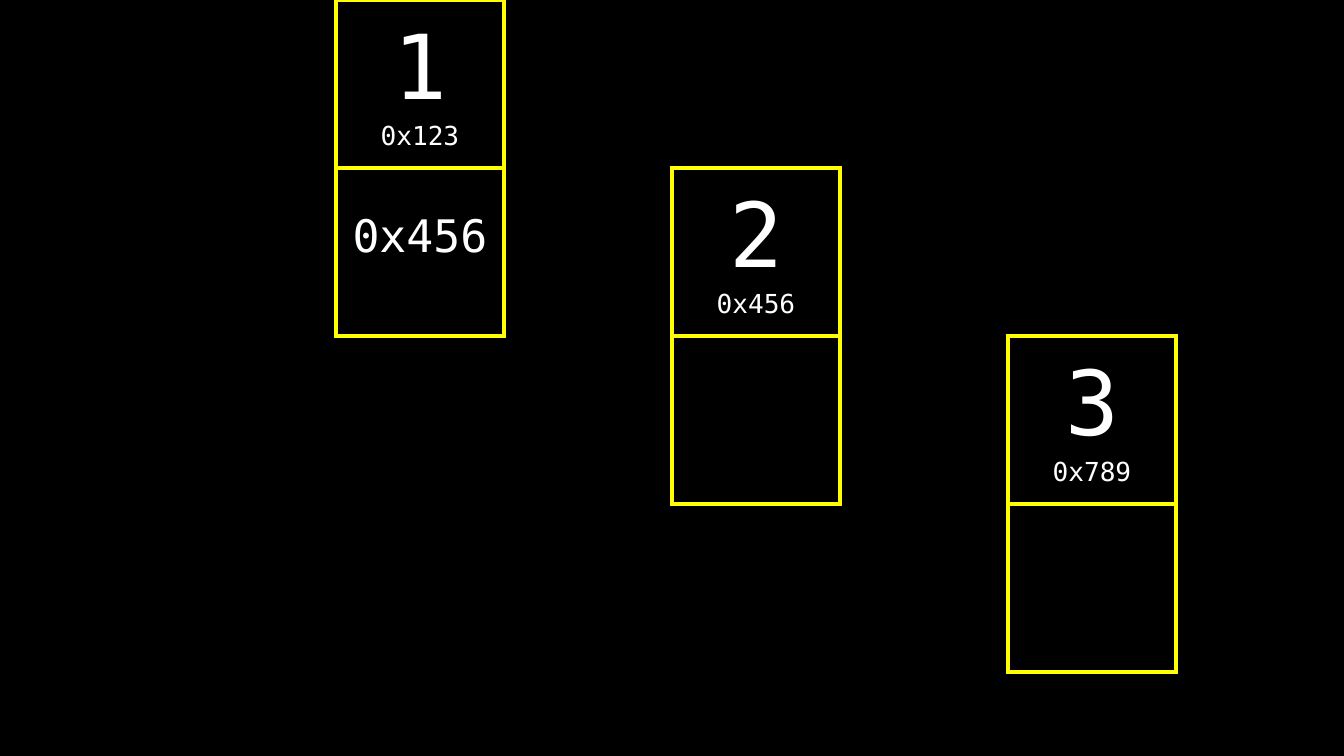
from dataclasses import dataclass

from lxml import etree
from pptx import Presentation
from pptx import util as u
from pptx.dml.color import RGBColor
from pptx.enum import text
from pptx.oxml import ns


@dataclass(frozen=True)
class Theme:
    """Colours, font and type sizes of the memory grid."""
    background: str = "000000"
    ink: str = "FFFFFF"
    border: str = "FFFF00"
    border_width: int = 3
    font: str = "DejaVu Sans Mono"
    value_size: int = 48
    pointer_size: int = 24
    address_size: int = 14


THEME = Theme()
CELL = 168
ROWS, COLUMNS = 5, 8
PADDING = 13
POINTER_BOTTOM = 73
NO_GRID_STYLE = "{2D5ABB26-0587-4C30-8999-92F81FD0307C}"
SIDES = {"lnL": (0, -1), "lnR": (0, 1), "lnT": (-1, 0), "lnB": (1, 0)}
NODES = [
    (0, 2, "1", "0x123", "0x456"),
    (1, 4, "2", "0x456", ""),
    (2, 6, "3", "0x789", ""),
]


def px(length):
    """Turn slide pixels into EMU."""
    return u.Emu(round(length * 914400 / 134.4))


def write(paragraph, content, *, size, color=THEME.ink):
    """Put one centred run of formatted text into a paragraph."""
    paragraph.alignment = text.PP_ALIGN.CENTER
    run = paragraph.add_run()
    run.text = content
    run.font.name = THEME.font
    run.font.size = u.Pt(size)
    run.font.color.rgb = RGBColor.from_string(color)


def set_border(cell, side, visible):
    """Give one side of a cell a solid border, or explicitly none."""
    properties = cell._tc.get_or_add_tcPr()
    line = etree.SubElement(properties, ns.qn(f"a:{side}"), w=str(u.Pt(THEME.border_width)))
    if visible:
        fill = etree.SubElement(line, ns.qn("a:solidFill"))
        etree.SubElement(fill, ns.qn("a:srgbClr"), val=THEME.border)
    else:
        etree.SubElement(line, ns.qn("a:noFill"))


def set_padding(cell, bottom=PADDING):
    """Set the inner margins of a cell."""
    cell.margin_left = cell.margin_right = cell.margin_top = px(PADDING)
    cell.margin_bottom = px(bottom)


def fill_node(table, row, column, value, address, pointer):
    """Write a list node: its value and address above its pointer."""
    data_cell = table.cell(row, column)
    set_padding(data_cell)
    data_cell.vertical_anchor = text.MSO_ANCHOR.MIDDLE
    write(data_cell.text_frame.paragraphs[0], value, size=THEME.value_size)
    write(data_cell.text_frame.add_paragraph(), address, size=THEME.address_size)
    if pointer:
        pointer_cell = table.cell(row + 1, column)
        set_padding(pointer_cell, POINTER_BOTTOM)
        pointer_cell.vertical_anchor = text.MSO_ANCHOR.BOTTOM
        write(pointer_cell.text_frame.paragraphs[0], pointer, size=THEME.pointer_size)


def add_memory_grid(slide, left, top, width, height):
    """Place the memory grid and its linked nodes in the given box."""
    frame = slide.shapes.add_table(ROWS, COLUMNS, px(left), px(top), px(width), px(height))
    table = frame.table
    table.first_row = table.horz_banding = False
    table._tbl.tblPr.find(ns.qn("a:tableStyleId")).text = NO_GRID_STYLE
    for column in table.columns:
        column.width = px(width / COLUMNS)
    for row in table.rows:
        row.height = px(height / ROWS)

    used = {(row + step, column) for row, column, *_ in NODES for step in (0, 1)}
    for row in range(ROWS):
        for column in range(COLUMNS):
            cell = table.cell(row, column)
            for side, (down, right) in SIDES.items():
                neighbours = {(row, column), (row + down, column + right)}
                set_border(cell, side, visible=bool(used & neighbours))
            cell.fill.background()
    for node in NODES:
        fill_node(table, *node)


def main():
    """Build and save the presentation."""
    presentation = Presentation()
    presentation.slide_width, presentation.slide_height = px(1344), px(756)
    slide = presentation.slides.add_slide(presentation.slide_layouts[6])
    slide.background.fill.solid()
    slide.background.fill.fore_color.rgb = RGBColor.from_string(THEME.background)
    add_memory_grid(slide, 0, 0, COLUMNS * CELL, ROWS * CELL)
    presentation.save("out.pptx")


if __name__ == "__main__":
    main()
